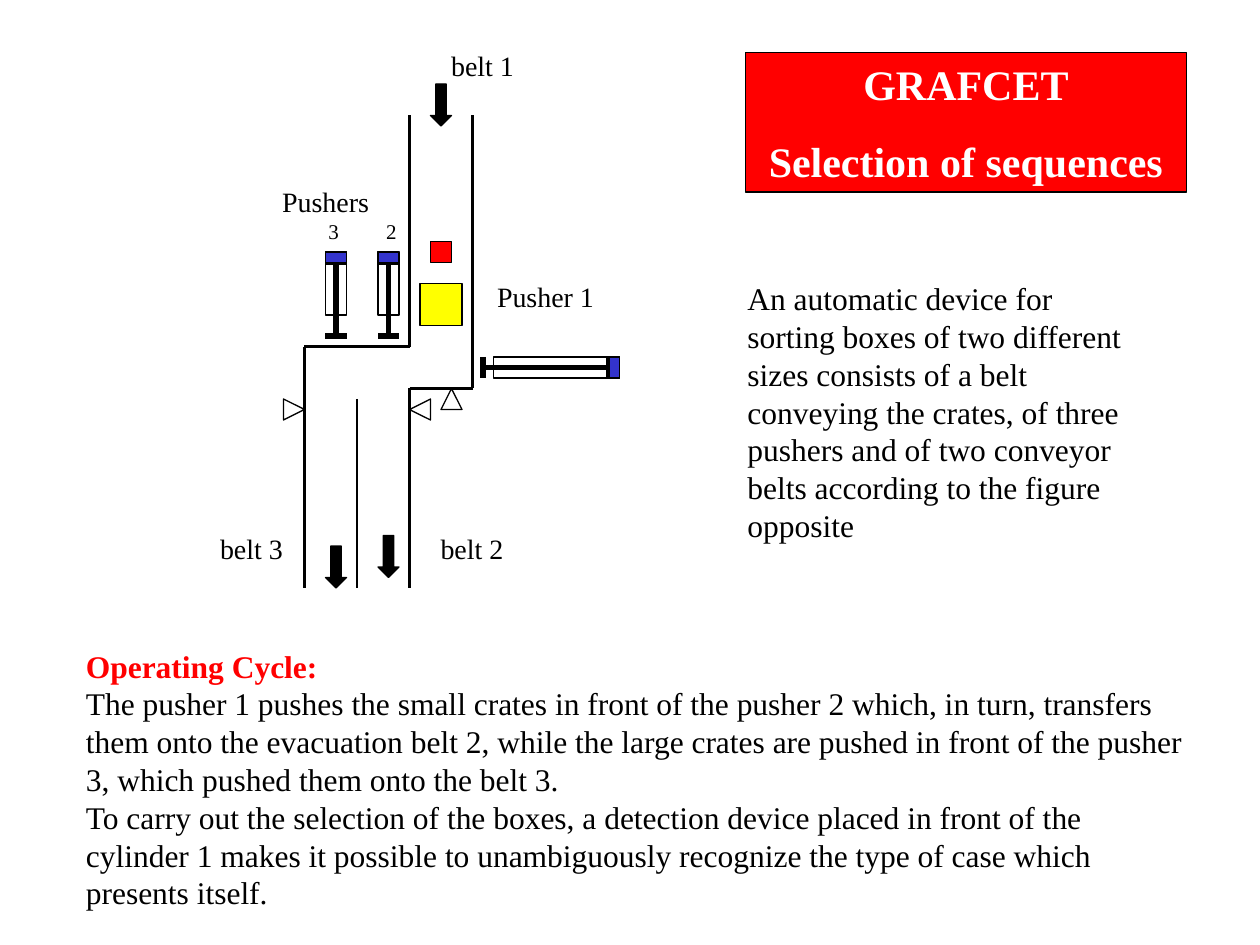
"""Build the GRAFCET slide on sorting boxes with three pushers."""
from lxml.etree import SubElement as Sub
from pptx import Presentation
from pptx.dml.color import RGBColor
from pptx.enum.shapes import MSO_CONNECTOR as Conn, MSO_SHAPE as Kind
from pptx.enum.text import MSO_ANCHOR as Anchor, PP_ALIGN as Align
from pptx.oxml.ns import qn
from pptx.util import Emu, Pt

PX = 7620
FONT = "Times New Roman"
BLACK = RGBColor(0, 0, 0)
WHITE = RGBColor(255, 255, 255)
RED = RGBColor(255, 0, 0)
YELLOW = RGBColor(255, 255, 0)
BLUE = RGBColor(0x33, 0x33, 0xCC)

TITLE = ["GRAFCET", "Selection of sequences"]
INTRO = ("An automatic device for sorting boxes of two different sizes "
         "consists of a belt conveying the crates, of three pushers and of "
         "two conveyor belts according to the figure opposite")
HEAD = "Operating Cycle:"
CYCLE = [
    "The pusher 1 pushes the small crates in front of the pusher 2 which, "
    "in turn, transfers them onto the evacuation belt 2, while the large "
    "crates are pushed in front of the pusher 3, which pushed them onto the "
    "belt 3.",
    "To carry out the selection of the boxes, a detection device placed in "
    "front of the cylinder 1 makes it possible to unambiguously recognize "
    "the type of case which presents itself.",
]
LABELS = [
    ("belt 1", (400, 40, 119, 40)),
    ("belt 3", (180, 500, 119, 40)),
    ("belt 2", (390, 500, 119, 40)),
    ("Pusher 1", (460, 260, 119, 70)),
]
CRATES = [((400, 270, 40, 40), YELLOW), ((410, 230, 20, 20), RED)]
WALLS = [
    (390, 110, 390, 330), (450, 110, 450, 370), (390, 330, 290, 330),
    (390, 370, 450, 370), (290, 330, 290, 560), (340, 380, 340, 560),
    (390, 370, 390, 560),
]
ARROWS = [(410, 80), (310, 520), (360, 510)]
SENSORS = [(270, 380, 90), (390, 380, 270), (420, 370, 0)]
UPRIGHT = [310, 360]
STOPS = [76, 131]


def px(*nums):
    return [Emu(n * PX) for n in nums]


def shape(kind, box, fill=None, turn=0):
    item = page.shapes.add_shape(kind, *px(*box))
    item.shadow.inherit = False
    item.rotation = turn
    if fill is None:
        item.fill.background()
    else:
        item.fill.solid()
        item.fill.fore_color.rgb = fill
    item.line.color.rgb = BLACK
    item.line.width = Pt(0.75)
    return item


def line(ends, width):
    item = page.shapes.add_connector(Conn.STRAIGHT, *px(*ends))
    item.line.color.rgb = BLACK
    item.line.width = Pt(width)
    Sub(item._element.spPr, qn("a:effectLst"))


def write(item, rows, align=Align.LEFT, gap=0):
    frame = item.text_frame
    frame.word_wrap = True
    frame.vertical_anchor = Anchor.TOP
    for i, (text, form) in enumerate(rows):
        para = frame.add_paragraph() if i else frame.paragraphs[0]
        para.alignment = align
        if i and gap:
            para.space_before = Pt(gap)
        run = para.add_run()
        run.text = text
        look = {"name": FONT, "color": BLACK, "bold": False, **form}
        run.font.color.rgb = look.pop("color")
        for key, val in look.items():
            setattr(run.font, key, val)
    return frame


def text(box, rows, align=Align.LEFT):
    return write(page.shapes.add_textbox(*px(*box)), rows, align)


def pusher(body, rod, caps, head):
    shape(Kind.RECTANGLE, body)
    for ends in (rod, *caps):
        line(ends, 3)
    shape(Kind.RECTANGLE, head, BLUE)


deck = Presentation()
deck.slide_width, deck.slide_height = px(1200, 900)
page = deck.slides.add_slide(deck.slide_layouts[6])

bold = {"size": Pt(24), "bold": True, "color": WHITE}
write(shape(Kind.RECTANGLE, (710, 50, 420, 133), RED),
      [(row, bold) for row in TITLE], Align.CENTER, 15)
body = {"size": Pt(18)}
text((70, 610, 1070, 264), [(HEAD, {**body, "bold": True, "color": RED})]
     + [(row, body) for row in CYCLE])
text((700, 260, 390, 264), [(INTRO, body)])

for box, fill in CRATES:
    shape(Kind.RECTANGLE, box, fill)
for ends in WALLS:
    line(ends, 1.5)
for x in UPRIGHT:
    pusher((x, 240, 20, 60), (x + 10, 250, x + 10, 320),
           [(x, y, x + 20, y) for y in (250, 320)], (x, 240, 20, 10))
pusher((470, 340, 120, 20), (580, 350, 460, 350),
       [(x, 340, x, 360) for x in (580, 460)], (580, 340, 10, 20))
for x, y in ARROWS:
    shape(Kind.DOWN_ARROW, (x, y, 20, 40), BLACK)
for x, y, turn in SENSORS:
    shape(Kind.ISOSCELES_TRIANGLE, (x, y, 20, 20), None, turn)

label = {"size": Pt(16)}
for name, box in LABELS:
    text(box, [(name, label)], Align.CENTER)
frame = text((230, 170, 160, 70),
             [("Pushers", label), ("\t3\t2", {"size": Pt(12)})])
top, low = frame.paragraphs
top.alignment = Align.CENTER
tabs = Sub(low._p.get_or_add_pPr(), qn("a:tabLst"))
for stop in STOPS:
    Sub(tabs, qn("a:tab"), pos=str(stop * PX), algn="ctr")

deck.save("out.pptx")
